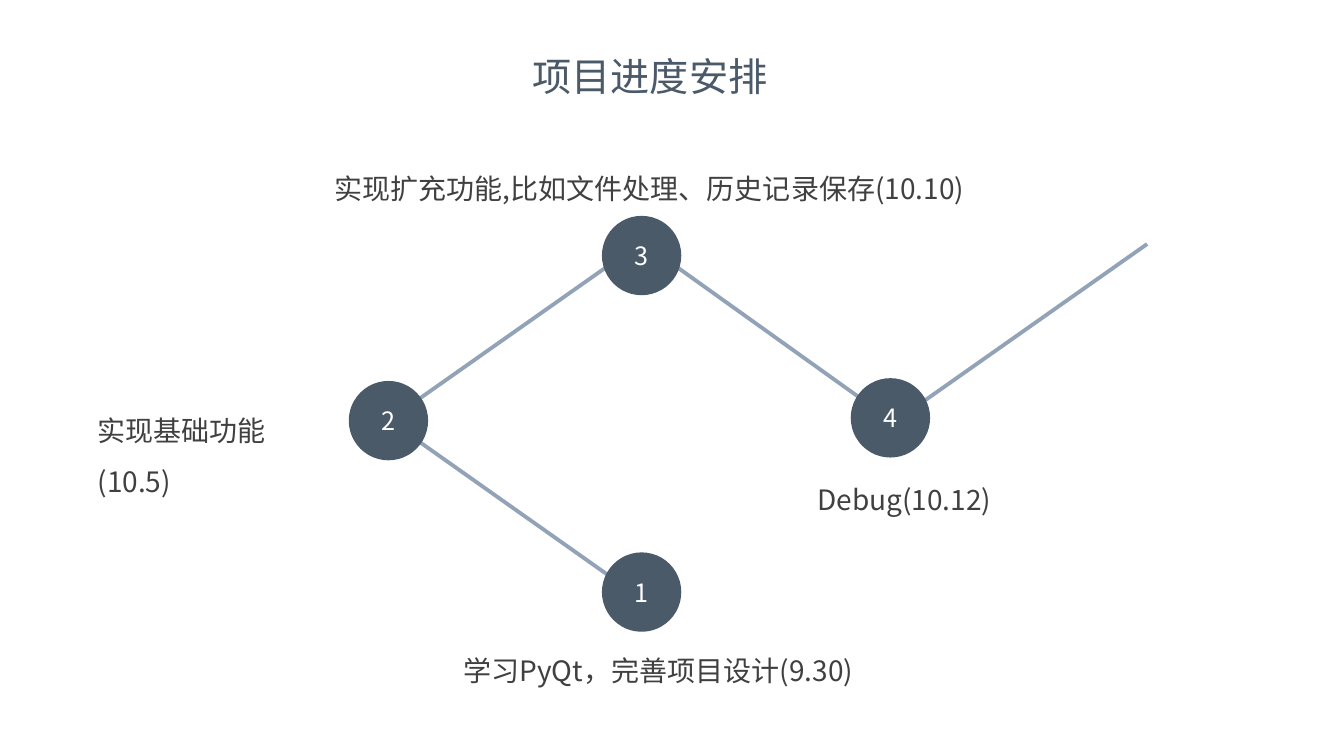
import pptx
import pptx.util
import pptx.dml.color
import pptx.enum.shapes
import pptx.enum.text
import pptx.oxml.ns
import lxml.etree

Cm, Pt = pptx.util.Cm, pptx.util.Pt
ALIGN = pptx.enum.text.PP_ALIGN
ANCHOR = pptx.enum.text.MSO_ANCHOR
FONT = "Noto Sans CJK SC"
COLORS = {"slate": "4A5A69", "line": "92A3B8", "text": "404040", "white": "FFFFFF"}
STYLES = {
    "title": ("slate", 28, {"alignment": ALIGN.CENTER, "line_spacing": 1.0}),
    "node": ("white", 18, {"alignment": ALIGN.CENTER}),
    "label": ("text", 20, {"alignment": ALIGN.LEFT, "line_spacing": 1.5}),
}
DOT = 2.0

# number, dot centre, label, label box (left, top, width, height), all in cm
STEPS = [
    ("1", (16.17, 14.92), "学习PyQt，完善项目设计(9.30)", (11.43, 15.93, 10.55, 1.55)),
    ("2", (9.79, 10.6), "实现基础功能(10.5)", (2.21, 9.88, 6.5, 1.4)),
    ("3", (16.17, 6.44), "实现扩充功能,比如文件处理、历史记录保存(10.10)", (8.18, 3.78, 20.75, 1.4)),
    ("4", (22.44, 10.53), "Debug(10.12)", (20.35, 11.61, 6.55, 1.4)),
]
ROUTE = [(16.2, 15.11), (9.8, 10.59), (16.18, 6.1), (22.53, 10.64), (28.91, 6.15)]


def color(name):
    return pptx.dml.color.RGBColor.from_string(COLORS[name])


def write(frame, text, style):
    tint, size, layout = STYLES[style]
    para = frame.paragraphs[0]
    for key, value in layout.items():
        setattr(para, key, value)
    run = para.add_run()
    run.text = text
    for key, value in {"size": Pt(size), "bold": False, "name": FONT}.items():
        setattr(run.font, key, value)
    run.font.color.rgb = color(tint)
    # East Asian glyphs take their typeface from a:ea
    east = lxml.etree.SubElement(run.font._element, pptx.oxml.ns.qn("a:ea"))
    east.set("typeface", FONT)


def add_title(slide, text, box):
    title = slide.shapes.title
    for key, value in zip(("left", "top", "width", "height"), box):
        setattr(title, key, Cm(value))
    frame = title.text_frame
    frame.auto_size = pptx.enum.text.MSO_AUTO_SIZE.NONE
    frame.word_wrap = False
    frame.vertical_anchor = ANCHOR.TOP
    write(frame, text, "title")


def add_route(slide, points):
    start, *rest = [(Cm(x), Cm(y)) for x, y in points]
    pen = slide.shapes.build_freeform(*start)
    pen.add_line_segments(rest, close=False)
    route = pen.convert_to_shape()
    route.shadow.inherit = False
    route.fill.background()
    route.line.color.rgb = color("line")
    route.line.width = Pt(2.75)


def add_step(slide, number, centre, label, box):
    x, y = centre
    dot = slide.shapes.add_shape(
        pptx.enum.shapes.MSO_SHAPE.OVAL,
        Cm(x - DOT / 2), Cm(y - DOT / 2), Cm(DOT), Cm(DOT))
    dot.shadow.inherit = False
    dot.fill.solid()
    dot.fill.fore_color.rgb = color("slate")
    dot.line.fill.background()
    dot.text_frame.vertical_anchor = ANCHOR.MIDDLE
    write(dot.text_frame, number, "node")

    note = slide.shapes.add_textbox(*map(Cm, box))
    note.text_frame.word_wrap = True
    write(note.text_frame, label, "label")


def main():
    deck = pptx.Presentation()
    deck.slide_width, deck.slide_height = Cm(33.87), Cm(19.05)
    slide = deck.slides.add_slide(deck.slide_layouts[5])
    add_title(slide, "项目进度安排", (13.13, 1.19, 6.5, 1.45))
    add_route(slide, ROUTE)
    for step in STEPS:
        add_step(slide, *step)
    deck.save("out.pptx")


if __name__ == "__main__":
    main()
